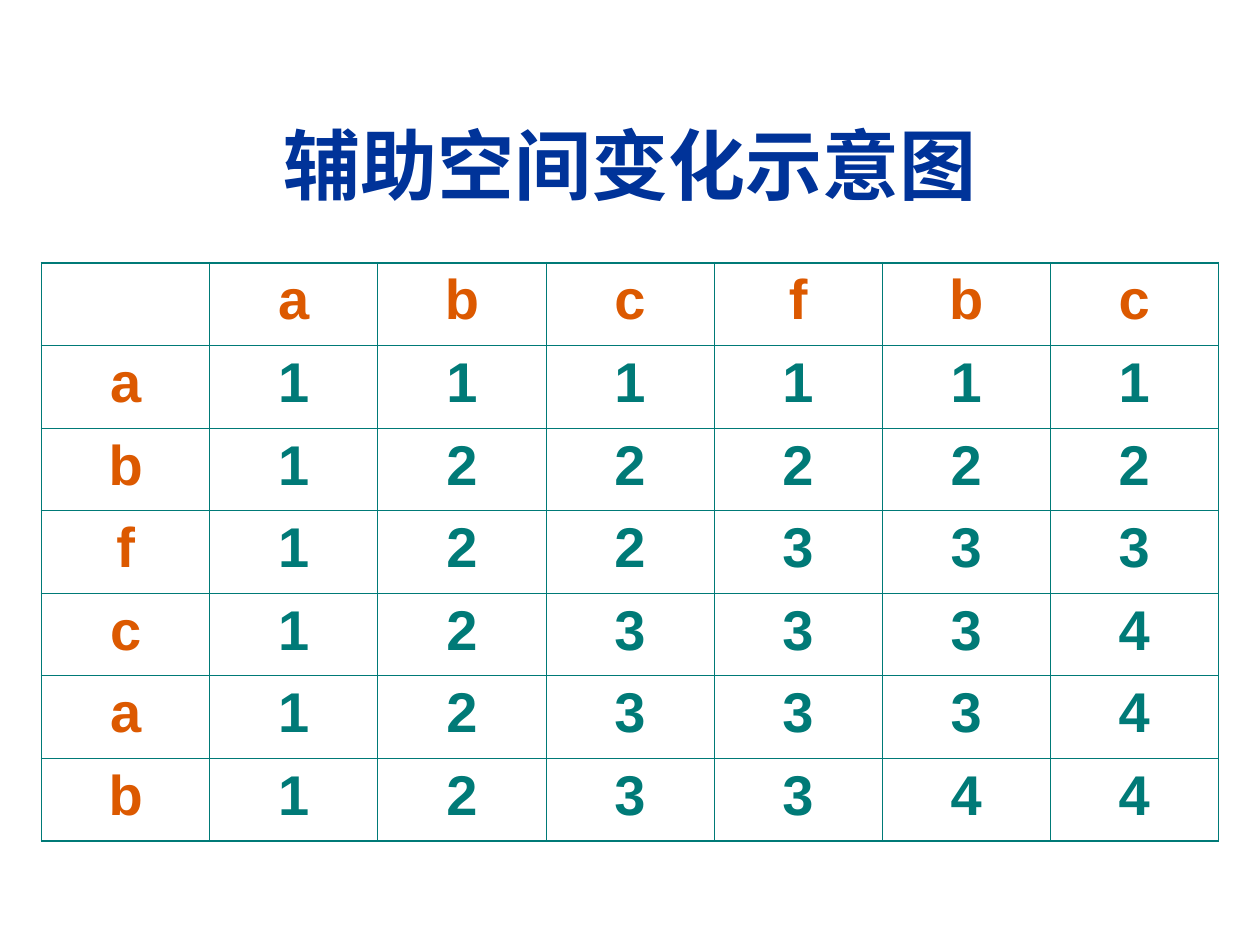
from lxml import etree
from pptx import Presentation
from pptx.dml.color import RGBColor
from pptx.enum.text import MSO_ANCHOR, PP_ALIGN
from pptx.oxml.ns import qn
from pptx.util import Inches, Pt

MID, CENTER = MSO_ANCHOR.MIDDLE, PP_ALIGN.CENTER
NAVY = RGBColor(0x00, 0x33, 0x99)
TEAL = RGBColor(0x00, 0x7A, 0x77)
RUST = RGBColor(0xDC, 0x59, 0x00)
THIN, THICK = Pt(0.45), Pt(1.08)
WIDE, HIGH = Inches(10), Inches(7.5)
HEAD = "abcfbc"
ROWS = {0: ("a", "111111"), 1: ("b", "122222"), 2: ("f", "122333"),
        3: ("c", "123334"), 4: ("a", "123334"), 5: ("b", "123344")}


def share(left, top, width, height):
    """Turn shares of the slide into a box of lengths."""
    return (round(WIDE * left), round(HIGH * top),
            round(WIDE * width), round(HIGH * height))


def style(par, text, size, color):
    """Fill a paragraph with bold centred text."""
    par.text = text
    par.alignment = CENTER
    font = par.font
    font.name, font.size, font.bold = "Arial", Pt(size), True
    font.color.rgb = color


def edge(cell, side, width):
    """Draw one border of a cell."""
    line = etree.SubElement(cell._tc.get_or_add_tcPr(), qn(f"a:ln{side}"),
                            w=str(int(width)))
    fill = etree.SubElement(line, qn("a:solidFill"))
    etree.SubElement(fill, qn("a:srgbClr"), val=str(TEAL))


def title(slide, box, text):
    """Place the heading in its box."""
    frame = slide.shapes.add_textbox(*box).text_frame
    frame.word_wrap = True
    frame.vertical_anchor = MID
    style(frame.paragraphs[0], text, 44, NAVY)


def matrix(slide, box):
    """Place the table of lengths in its box."""
    data = [" " + HEAD] + [name + nums for name, nums in ROWS.values()]
    rows, cols = len(data), len(data[0])
    table = slide.shapes.add_table(rows, cols, *box).table
    table.first_row = table.horz_banding = False
    for r, line in enumerate(data):
        for c, text in enumerate(line):
            cell = table.cell(r, c)
            outer = {"L": c == 0, "R": c == cols - 1,
                     "T": r == 0, "B": r == rows - 1}
            for side, rim in outer.items():
                edge(cell, side, THICK if rim else THIN)
            cell.fill.background()
            style(cell.text_frame.paragraphs[0], text.strip(), 32,
                  TEAL if r and c else RUST)


def main():
    """Build and save the slide."""
    deck = Presentation()
    deck.slide_width, deck.slide_height = WIDE, HIGH
    slide = deck.slides.add_slide(deck.slide_layouts[6])
    title(slide, share(0.033, 0.09, 0.934, 0.167), "辅助空间变化示意图")
    matrix(slide, share(0.033, 0.278, 0.934, 0.612))
    deck.save("out.pptx")


if __name__ == "__main__":
    main()
